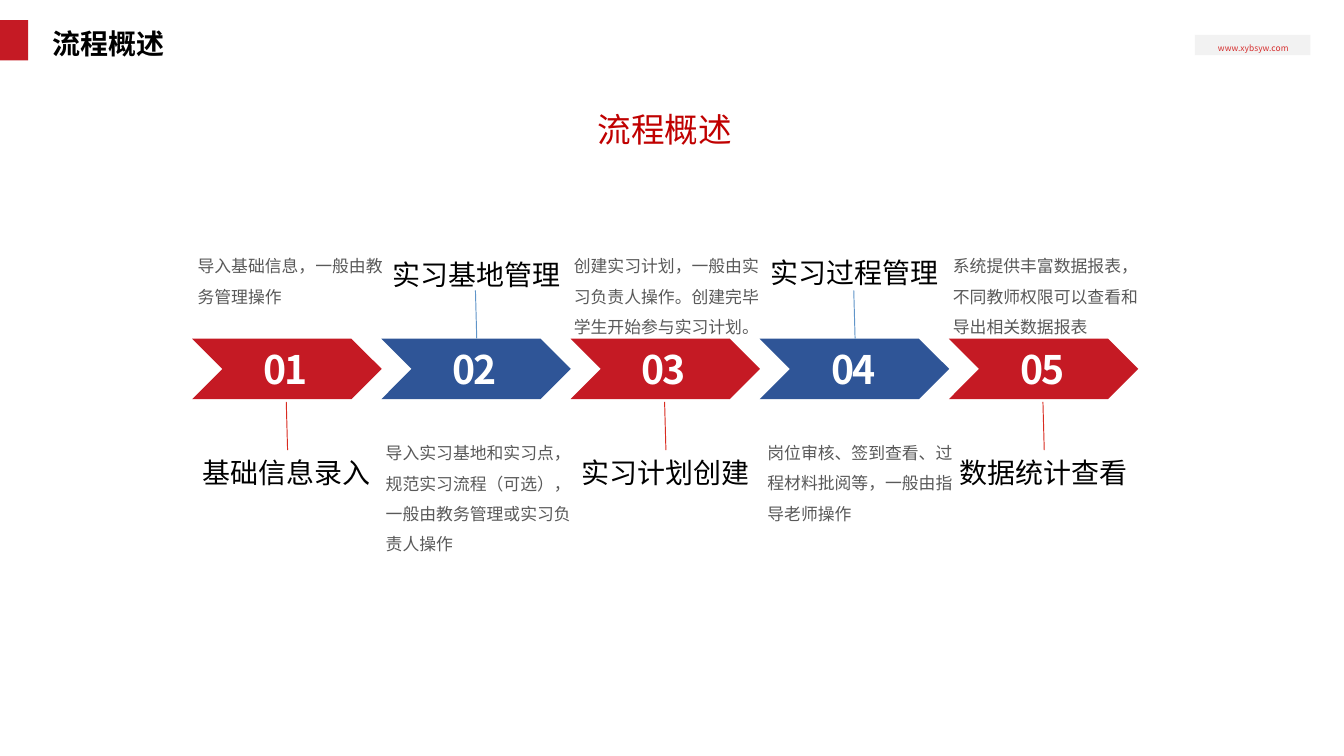
from dataclasses import dataclass

from lxml import etree
from pptx import Presentation
from pptx.dml.color import RGBColor
from pptx.enum.shapes import MSO_CONNECTOR, MSO_SHAPE
from pptx.enum.text import MSO_ANCHOR, MSO_AUTO_SIZE, PP_ALIGN
from pptx.oxml.ns import qn
from pptx.util import Inches, Pt

CHEVRON = MSO_SHAPE.CHEVRON
RECTANGLE = MSO_SHAPE.RECTANGLE
STRAIGHT = MSO_CONNECTOR.STRAIGHT
MIDDLE = MSO_ANCHOR.MIDDLE
TOP = MSO_ANCHOR.TOP
GROW = MSO_AUTO_SIZE.SHAPE_TO_FIT_TEXT
CENTER = PP_ALIGN.CENTER
LEFT = PP_ALIGN.LEFT

RED = RGBColor(0xC5, 0x1A, 0x24)
BLUE = RGBColor(0x2F, 0x55, 0x97)
LINE_RED = RGBColor(0xD9, 0x2C, 0x21)
LINE_BLUE = RGBColor(0x60, 0x95, 0xC9)
HEADING_RED = RGBColor(0xC0, 0x00, 0x00)
ADDRESS_RED = RGBColor(0xD6, 0x2F, 0x2F)
PALE_GRAY = RGBColor(0xF2, 0xF2, 0xF2)
TEXT_GRAY = RGBColor(0x59, 0x59, 0x59)
BLACK = RGBColor(0x00, 0x00, 0x00)
WHITE = RGBColor(0xFF, 0xFF, 0xFF)

FONT = "Noto Sans CJK SC"
SLIDE_WIDTH = Inches(10)
SLIDE_HEIGHT = SLIDE_WIDTH * 9 // 16
FIRST_LEFT = 1.43
LAST_LEFT = 7.06
CHEVRON_TOP = 2.52
CHEVRON_WIDTH = 1.41
CHEVRON_HEIGHT = 0.45

TITLE = {"size": Pt(15), "bold": True}
ADDRESS = {"size": Pt(4.5)}
HEADING = {"size": Pt(18)}
STEP_NAME = {"size": Pt(15)}
STEP_NUMBER = {"size": Pt(21), "bold": True}
DESCRIPTION = {"size": Pt(9)}


@dataclass
class Step:
    name: str
    description: str
    name_top: float
    description_left: float
    description_width: float
    description_height: float


STEPS = [
    Step("基础信息录入", "导入基础信息，一般由教务管理操作", 3.35, 1.42, 1.55, 0.53),
    Step("实习基地管理", "导入实习基地和实习点，规范实习流程（可选），一般由教务管理或实习负责人操作",
         1.88, 2.82, 1.59, 0.98),
    Step("实习计划创建", "创建实习计划，一般由实习负责人操作。创建完毕学生开始参与实习计划。",
         3.35, 4.22, 1.56, 0.76),
    Step("实习过程管理", "岗位审核、签到查看、过程材料批阅等，一般由指导老师操作",
         1.86, 5.66, 1.52, 0.76),
    Step("数据统计查看", "系统提供丰富数据报表，不同教师权限可以查看和导出相关数据报表",
         3.35, 7.04, 1.58, 0.76),
]
STEP_PITCH = (LAST_LEFT - FIRST_LEFT) / (len(STEPS) - 1)


def write_text(holder, text, style, color, align=CENTER, anchor=MIDDLE,
               inset=(0.05, 0.04), line_spacing=1.0, tracking=None):
    frame = holder.text_frame
    side, edge = (Inches(value) for value in inset)
    settings = {
        "margin_left": side, "margin_right": side,
        "margin_top": edge, "margin_bottom": edge,
        "word_wrap": True, "auto_size": GROW, "vertical_anchor": anchor,
    }
    for attribute, value in settings.items():
        setattr(frame, attribute, value)
    paragraph = frame.paragraphs[0]
    paragraph.alignment = align
    paragraph.line_spacing = line_spacing
    run = paragraph.add_run()
    run.text = text
    for attribute, value in {"name": FONT, **style}.items():
        setattr(run.font, attribute, value)
    run.font.color.rgb = color
    properties = run._r.get_or_add_rPr()
    etree.SubElement(properties, qn("a:ea")).set("typeface", FONT)
    if tracking is not None:
        properties.set("spc", str(tracking))


def add_text(slide, box, text, style, color, **layout):
    holder = slide.shapes.add_textbox(*map(Inches, box))
    write_text(holder, text, style, color, **layout)


def add_block(slide, kind, box, color):
    block = slide.shapes.add_shape(kind, *map(Inches, box))
    block.shadow.inherit = False
    block.fill.solid()
    block.fill.fore_color.rgb = color
    block.line.fill.background()


def add_leader(slide, left, top, height, color):
    ends = (left, top, left + 0.01, top + height)
    leader = slide.shapes.add_connector(STRAIGHT, *map(Inches, ends))
    leader.line.color.rgb = color
    leader.line.width = Pt(0.5)
    etree.SubElement(leader._element.spPr, qn("a:effectLst"))


def add_title(slide, text):
    title = slide.shapes.title
    box = {"left": 0.34, "top": 0.15, "width": 2.93, "height": 0.35}
    for attribute, value in box.items():
        setattr(title, attribute, Inches(value))
    write_text(title, text, TITLE, BLACK, align=LEFT, inset=(0.05, 0.05))


def add_step(slide, index, step):
    left = FIRST_LEFT + index * STEP_PITCH
    name_below = index % 2 == 0
    fill, line = (RED, LINE_RED) if name_below else (BLUE, LINE_BLUE)
    leader_top = 2.99 if name_below else 2.16
    description_top = 1.79 if name_below else 3.18

    add_block(slide, CHEVRON, (left, CHEVRON_TOP, CHEVRON_WIDTH, CHEVRON_HEIGHT), fill)
    add_text(slide, (left + 0.52, 2.57, 0.35, 0.35), f"{index + 1:02}",
             STEP_NUMBER, WHITE, inset=(0, 0), tracking=-110)
    add_leader(slide, left + 0.7, leader_top, 0.36, line)
    add_text(slide, (left - 0.04, step.name_top, 1.49, 0.33),
             step.name, STEP_NAME, BLACK)
    description_box = (step.description_left, description_top,
                       step.description_width, step.description_height)
    add_text(slide, description_box, step.description, DESCRIPTION, TEXT_GRAY,
             align=LEFT, anchor=TOP, line_spacing=1.5)


def main():
    deck = Presentation()
    deck.slide_width = SLIDE_WIDTH
    deck.slide_height = SLIDE_HEIGHT
    slide = deck.slides.add_slide(deck.slide_layouts[5])

    add_block(slide, RECTANGLE, (8.89, 0.26, 0.86, 0.15), PALE_GRAY)
    add_text(slide, (9, 0.27, 0.65, 0.18), "www.xybsyw.com", ADDRESS, ADDRESS_RED,
             inset=(0.05, 0.05))
    add_block(slide, RECTANGLE, (0, 0.15, 0.21, 0.3), RED)
    add_title(slide, "流程概述")
    add_text(slide, (3.04, 0.77, 3.81, 0.38), "流程概述", HEADING, HEADING_RED)
    for index, step in enumerate(STEPS):
        add_step(slide, index, step)

    deck.save("out.pptx")


if __name__ == "__main__":
    main()
